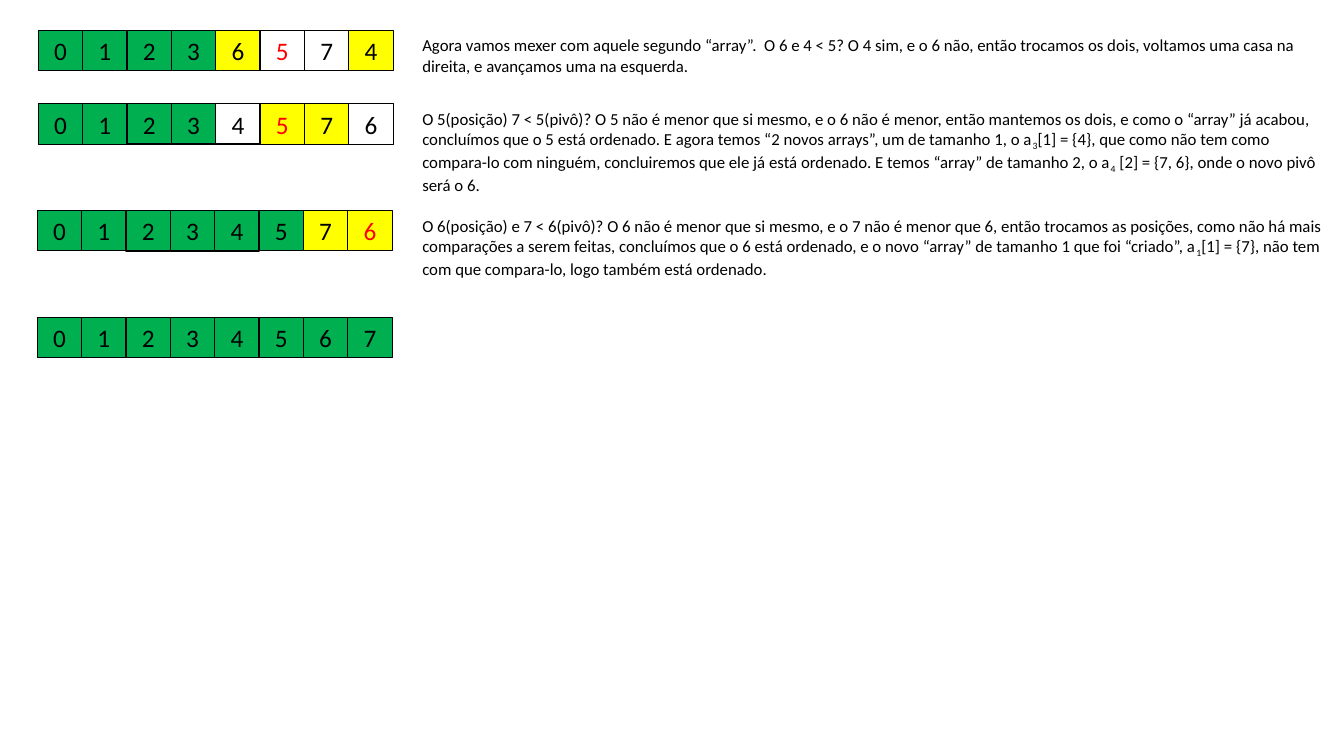
import pptx
import pptx.util
import pptx.dml.color
import pptx.enum.shapes
import pptx.enum.text

Inches, Pt = pptx.util.Inches, pptx.util.Pt

COLORS = {
    "sorted": "00B050",
    "compared": "FFFF00",
    "blank": "FFFFFF",
    "ink": "000000",
    "pivot": "FF0000",
}
FILLS = {"s": "sorted", "c": "compared", "b": "blank", "-": None}

# Each step: left, top, digits, fill code per cell, pivot digit,
# note height, note parts (every second part is a subscript)
STEPS = [
    (0.38, 0.3, "01236574", "ssssc--c", "5", 0.5, [
        "Agora vamos mexer com aquele segundo “array”.  O 6 e 4 < 5? O 4 sim, e o 6 não, "
        "então trocamos os dois, voltamos uma casa na direita, e avançamos uma na esquerda.",
    ]),
    (0.38, 1.03, "01234576", "ssssbcc-", "5", 0.91, [
        "O 5(posição) 7 < 5(pivô)? O 5 não é menor que si mesmo, e o 6 não é menor, então "
        "mantemos os dois, e como o “array” já acabou, concluímos que o 5 está ordenado. "
        "E agora temos “2 novos arrays”, um de tamanho 1, o a",
        "3",
        "[1] = {4}, que como não tem como compara-lo com ninguém, concluiremos que ele já "
        "está ordenado. E temos “array” de tamanho 2, o a",
        "4",
        " [2] = {7, 6}, onde o novo pivô será o 6.",
    ]),
    (0.37, 2.09, "01234576", "sssssscc", "6", 0.71, [
        "O 6(posição) e 7 < 6(pivô)? O 6 não é menor que si mesmo, e o 7 não é menor que 6, "
        "então trocamos as posições, como não há mais comparações a serem feitas, concluímos "
        "que o 6 está ordenado, e o novo “array” de tamanho 1 que foi “criado”, a",
        "1",
        "[1] = {7}, não tem com que compara-lo, logo também está ordenado.",
    ]),
    (0.37, 3.15, "01234567", "ssssssss", None, 0, []),
]

CELL_WIDTH, CELL_HEIGHT = 0.44, 0.4
NOTE_LEFT, NOTE_WIDTH = 4.09, 9.24
THICK_CELLS = (2, 3, 4)


def rgb(name):
    return pptx.dml.color.RGBColor.from_string(COLORS[name])


def set_font(para, size, color):
    para.font.name = "Calibri"
    para.font.size = Pt(size)
    para.font.color.rgb = rgb(color)


def add_array(page, left, top, digits, codes, pivot):
    group = page.shapes.add_group_shape()
    for index, (digit, code) in enumerate(zip(digits, codes)):
        cell = group.shapes.add_shape(
            pptx.enum.shapes.MSO_SHAPE.RECTANGLE,
            Inches(left + index * CELL_WIDTH), Inches(top),
            Inches(CELL_WIDTH), Inches(CELL_HEIGHT))
        cell.shadow.inherit = False
        if FILLS[code]:
            cell.fill.solid()
            cell.fill.fore_color.rgb = rgb(FILLS[code])
        else:
            cell.fill.background()
        cell.line.color.rgb = rgb("ink")
        cell.line.width = Pt(1 if index in THICK_CELLS else 0.75)
        para = cell.text_frame.paragraphs[0]
        para.text = digit
        para.alignment = pptx.enum.text.PP_ALIGN.CENTER
        set_font(para, 18, "pivot" if digit == pivot else "ink")


def add_note(page, top, height, parts):
    box = page.shapes.add_textbox(
        Inches(NOTE_LEFT), Inches(top), Inches(NOTE_WIDTH), Inches(height))
    box.text_frame.word_wrap = True
    para = box.text_frame.paragraphs[0]
    set_font(para, 12, "ink")
    for index, part in enumerate(parts):
        span = para.add_run()
        span.text = part
        if index % 2:
            span.font._element.set("baseline", "-25000")


def main():
    deck = pptx.Presentation()
    deck.slide_width, deck.slide_height = Inches(13.33), Inches(7.5)
    page = deck.slides.add_slide(deck.slide_layouts[6])
    for left, top, digits, codes, pivot, note_height, parts in STEPS:
        add_array(page, left, top, digits, codes, pivot)
        if parts:
            add_note(page, top, note_height, parts)
    deck.save("out.pptx")


if __name__ == "__main__":
    main()
